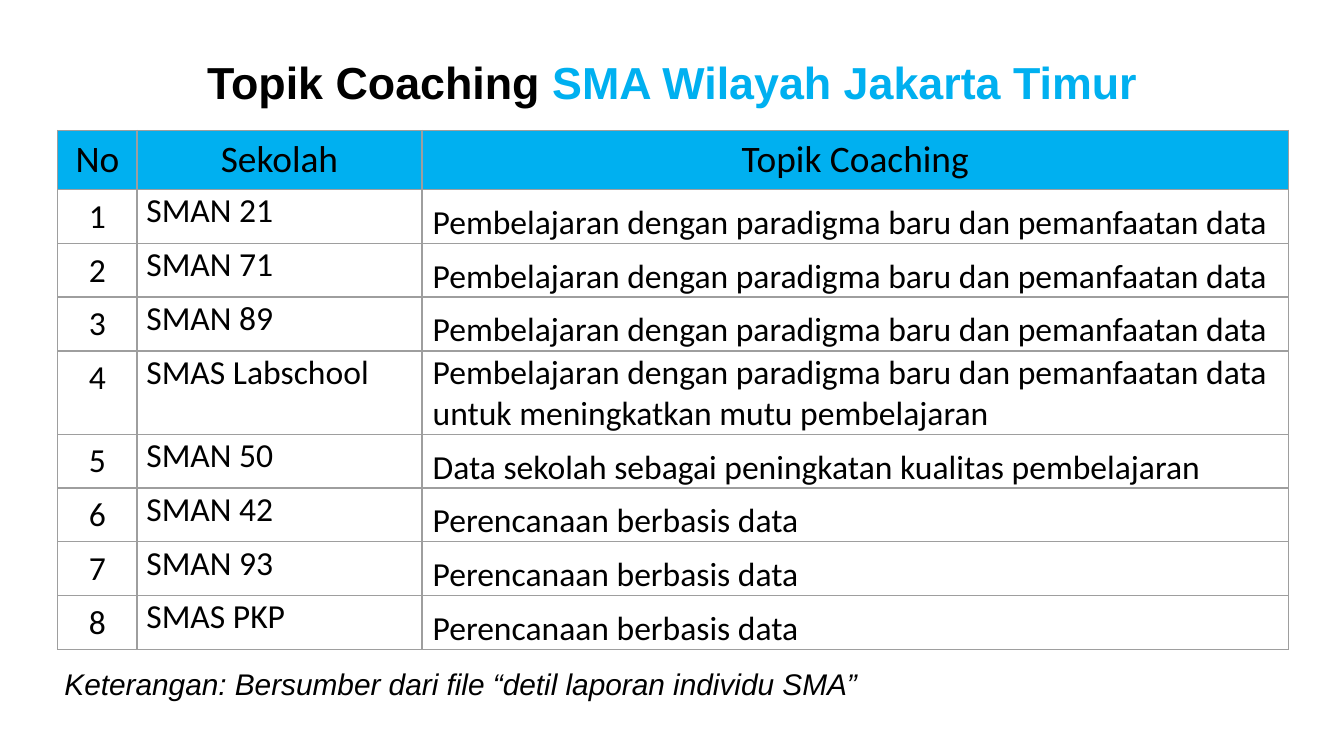
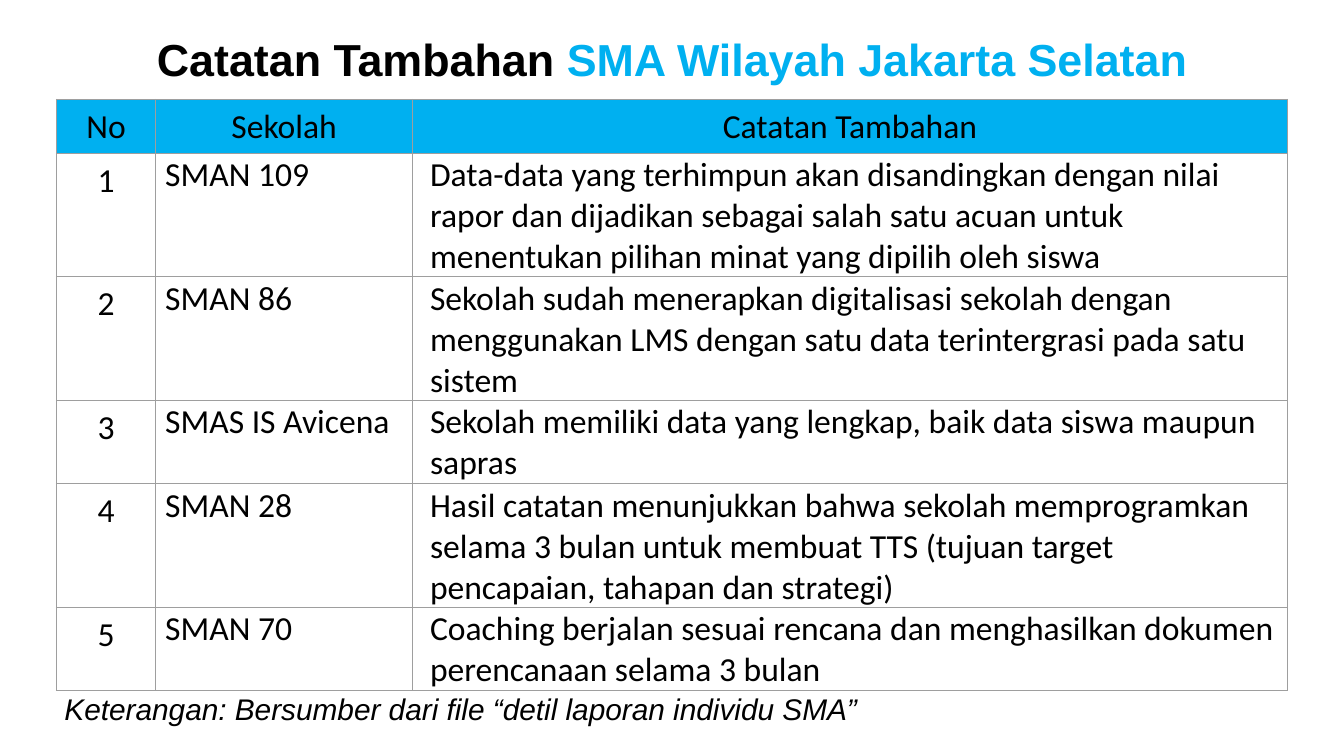
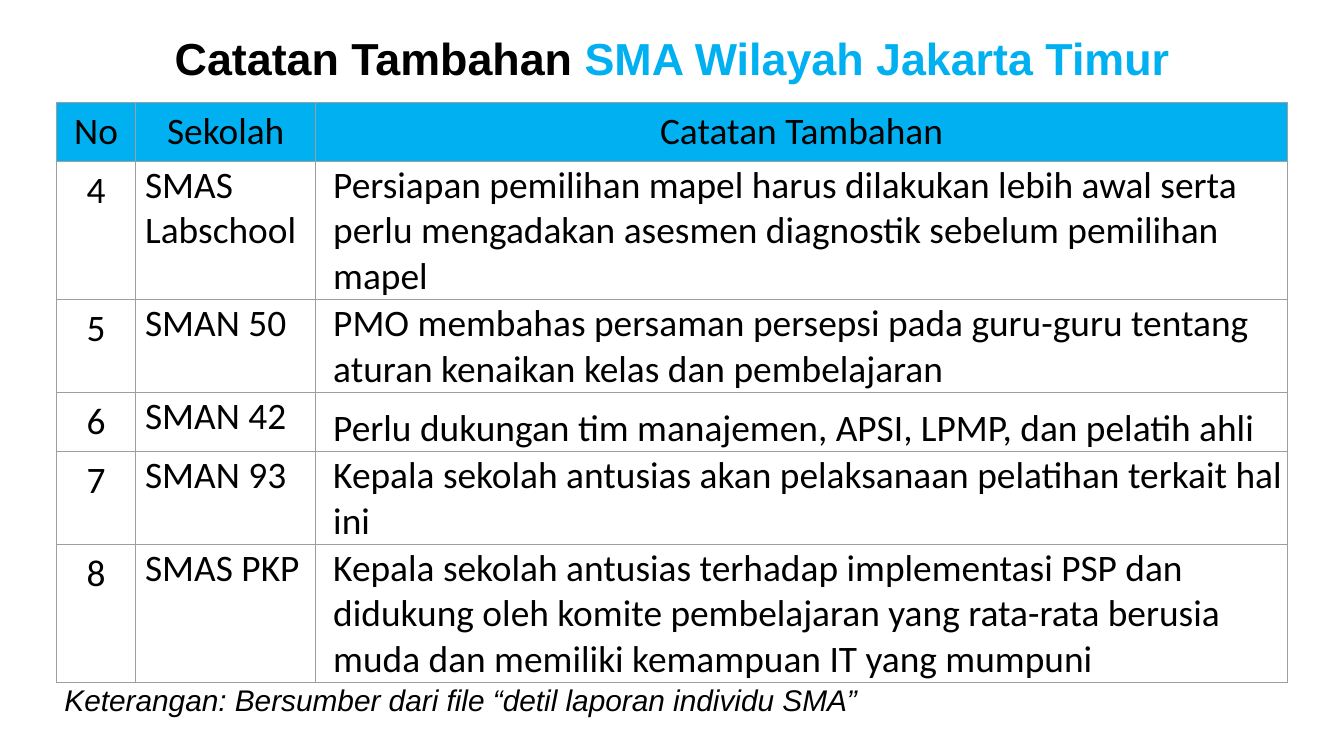
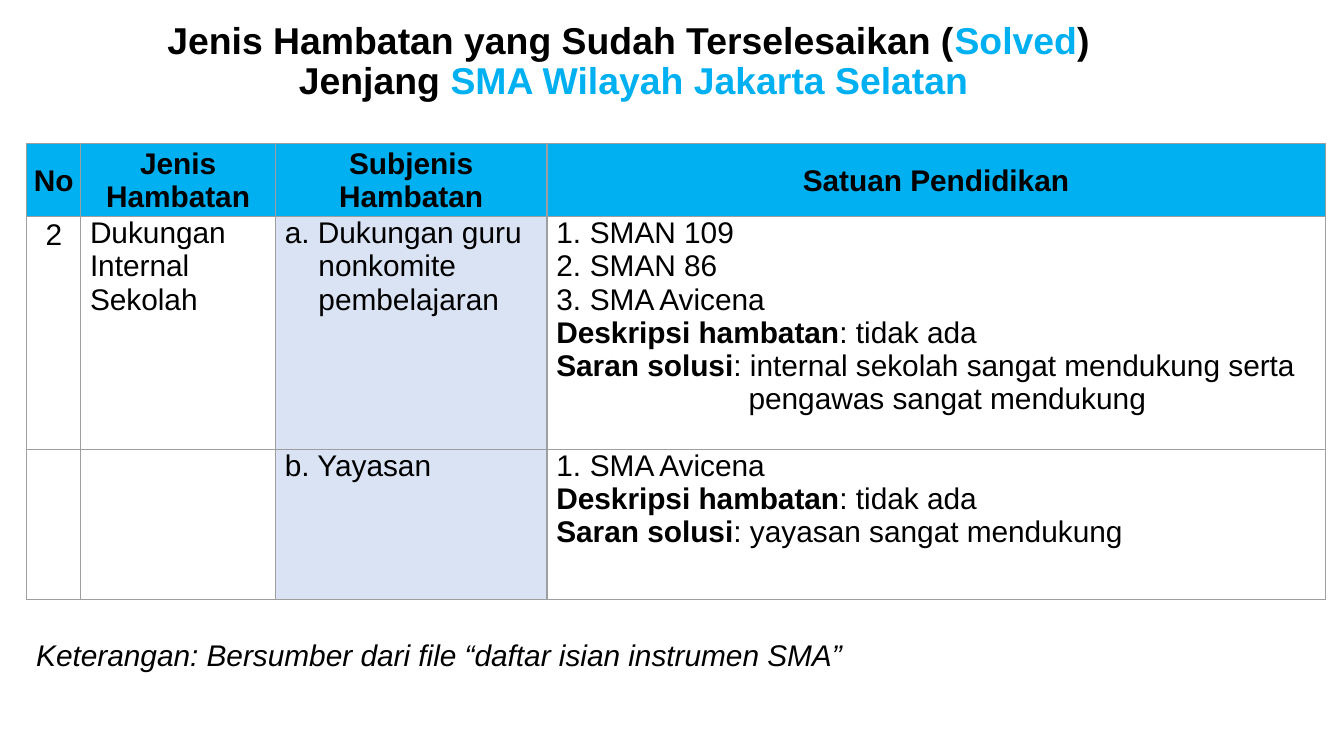
from dataclasses import dataclass

from lxml.etree import SubElement
from pptx import Presentation
from pptx.dml.color import RGBColor
from pptx.enum.text import MSO_ANCHOR, MSO_AUTO_SIZE, PP_ALIGN
from pptx.oxml.ns import qn
from pptx.util import Inches, Pt


@dataclass
class Theme:
    accent = RGBColor(0x00, 0xB0, 0xF0)
    shade = RGBColor(0xDA, 0xE3, 0xF3)
    text = RGBColor(0, 0, 0)
    border = "9E9E9E"
    border_width = 0.75
    title_font = "Arial"
    school_font = "Calibri"
    note_size = 16
    frame_margins = (0.07, 0.04, 0.07, 0.04)
    number_margins = (0.1, 0.05, 0.1, 0.05)
    line_spacing = 0.9


@dataclass
class Line:
    text: str
    hanging: float = 0
    numbered: bool = False


theme = Theme()


def write(paragraph, text, font, size, bold=False, italic=False, accent=None):
    """Add text; parts between asterisks are in the accent colour, or bold if there is none."""
    for index, piece in enumerate(text.split("*")):
        if not piece:
            continue
        marked = index % 2 == 1
        run = paragraph.add_run()
        run.text = piece
        run.font.name = font
        run.font.size = Pt(size)
        run.font.bold = bold or (marked and accent is None)
        run.font.italic = italic
        run.font.color.rgb = accent if marked and accent else theme.text


def set_margins(frame, margins):
    """Set left, top, right and bottom margins of a text frame or a cell."""
    (frame.margin_left, frame.margin_top,
     frame.margin_right, frame.margin_bottom) = map(Inches, margins)


# Content of the slides
school_note = "Keterangan: Bersumber dari file “detil laporan individu SMA”"
new_paradigm = "Pembelajaran dengan paradigma baru dan pemanfaatan data"
data_planning = "Perencanaan berbasis data"
school_margins = (0.07, 0.01, 0.01, 0)
topic_margins = (0.08, 0.01, 0.01, 0)
remark_margins = (0.13, 0.01, 0.01, 0)
obstacle_margins = (0.07, 0, 0.07, 0)

slides = [
    dict(
        title="Topik Coaching *SMA Wilayah Jakarta Timur*",
        title_box=(0, 0.4, 10, 0.46), title_size=24,
        note=school_note, note_box=(0.41, 4.88, 9.17, 0.44),
        table_at=(0.43, 0.97), widths=(0.59, 2.12, 6.45),
        heights=[0.44] + [0.4] * 3 + [0.62] + [0.4] * 4,
        font=theme.school_font, header_size=20, body_size=18, header_bold=False,
        header_margins=theme.number_margins,
        margins=(theme.number_margins, school_margins, topic_margins),
        last_anchor=MSO_ANCHOR.BOTTOM, shaded_column=None,
        rows=[
            ("No", "Sekolah", "Topik Coaching"),
            ("1", "SMAN 21", new_paradigm),
            ("2", "SMAN 71", new_paradigm),
            ("3", "SMAN 89", new_paradigm),
            ("4", "SMAS Labschool", new_paradigm + "\nuntuk meningkatkan mutu pembelajaran"),
            ("5", "SMAN 50", "Data sekolah sebagai peningkatan kualitas pembelajaran"),
            ("6", "SMAN 42", data_planning),
            ("7", "SMAN 93", data_planning),
            ("8", "SMAS PKP", data_planning),
        ],
    ),
    dict(
        title="Catatan Tambahan *SMA Wilayah Jakarta Selatan*",
        title_box=(0, 0.23, 10, 0.46), title_size=24,
        note=school_note, note_box=(0.41, 5.07, 9.17, 0.44),
        table_at=(0.42, 0.74), widths=(0.74, 1.91, 6.51),
        heights=(0.4, 0.92, 0.92, 0.62, 0.92, 0.62),
        font=theme.school_font, header_size=18, body_size=18, header_bold=False,
        header_margins=theme.number_margins,
        margins=(theme.number_margins, school_margins, remark_margins),
        last_anchor=MSO_ANCHOR.TOP, shaded_column=None,
        rows=[
            ("No", "Sekolah", "Catatan Tambahan"),
            ("1", "SMAN 109", "Data-data yang terhimpun akan disandingkan dengan nilai rapor dan "
             "dijadikan sebagai salah satu acuan untuk menentukan pilihan minat yang dipilih "
             "oleh siswa"),
            ("2", "SMAN 86", "Sekolah sudah menerapkan digitalisasi sekolah dengan menggunakan "
             "LMS dengan satu data terintergrasi pada satu sistem"),
            ("3", "SMAS IS Avicena",
             "Sekolah memiliki data yang lengkap, baik data siswa maupun sapras"),
            ("4", "SMAN 28", "Hasil catatan menunjukkan bahwa sekolah memprogramkan selama 3 "
             "bulan untuk membuat TTS (tujuan target pencapaian, tahapan dan strategi)"),
            ("5", "SMAN 70", "Coaching berjalan sesuai rencana dan menghasilkan dokumen "
             "perencanaan selama 3 bulan"),
        ],
    ),
    dict(
        title="Catatan Tambahan *SMA Wilayah Jakarta Timur*",
        title_box=(0, 0.22, 10, 0.46), title_size=24,
        note=school_note, note_box=(0.41, 5, 9.17, 0.44),
        table_at=(0.42, 0.76), widths=(0.59, 1.34, 7.23),
        heights=(0.44, 1.03, 0.69, 0.44, 0.69, 1.03),
        font=theme.school_font, header_size=20, body_size=20, header_bold=False,
        header_margins=theme.number_margins,
        margins=(theme.number_margins, school_margins, remark_margins),
        last_anchor=MSO_ANCHOR.BOTTOM, shaded_column=None,
        rows=[
            ("No", "Sekolah", "Catatan Tambahan"),
            ("4", "SMAS Labschool", "Persiapan pemilihan mapel harus dilakukan lebih awal serta "
             "perlu mengadakan asesmen diagnostik sebelum pemilihan mapel"),
            ("5", "SMAN 50", "PMO membahas persaman persepsi pada guru-guru tentang aturan "
             "kenaikan kelas dan pembelajaran"),
            ("6", "SMAN 42", "Perlu dukungan tim manajemen, APSI, LPMP, dan pelatih ahli"),
            ("7", "SMAN 93",
             "Kepala sekolah antusias akan pelaksanaan pelatihan terkait hal ini"),
            ("8", "SMAS PKP", "Kepala sekolah antusias terhadap implementasi PSP dan didukung "
             "oleh komite pembelajaran yang rata-rata berusia muda dan memiliki kemampuan IT "
             "yang mumpuni"),
        ],
    ),
    dict(
        title="Jenis Hambatan yang Sudah Terselesaikan (*Solved*) \n"
              "Jenjang *SMA Wilayah Jakarta Selatan*",
        title_box=(0.09, 0.01, 9.25, 0.91), title_size=20,
        note="Keterangan: Bersumber dari file “daftar isian instrumen SMA”",
        note_box=(0.2, 4.67, 9.17, 0.44),
        table_at=(0.2, 1.07), widths=(0.4, 1.45, 2.02, 5.79),
        heights=(0.47, 1.73, 1.12),
        font=theme.title_font, header_size=16, body_size=16, header_bold=True,
        header_margins=(0.01, 0.01, 0.01, 0),
        margins=((0, 0.01, 0, 0),) + (obstacle_margins,) * 3,
        last_anchor=MSO_ANCHOR.TOP, shaded_column=2,
        rows=[
            ("No", "Jenis Hambatan", "Subjenis Hambatan", "Satuan Pendidikan"),
            ("2", "Dukungan Internal Sekolah",
             [Line("a. Dukungan guru nonkomite pembelajaran", 0.25)],
             [Line("SMAN 109", 0.25, True),
              Line("SMAN 86", 0.25, True),
              Line("SMA Avicena", 0.25, True),
              Line("*Deskripsi hambatan*: tidak ada"),
              Line("*Saran solusi*: internal sekolah sangat mendukung serta pengawas sangat "
                   "mendukung", 1.43)]),
            ("", "", [Line("b. Yayasan", 0.19)],
             [Line("SMA Avicena", 0.25, True),
              Line("*Deskripsi hambatan*: tidak ada"),
              Line("*Saran solusi*: yayasan sangat mendukung")]),
        ],
    ),
]

presentation = Presentation()
presentation.slide_width = Inches(10)
presentation.slide_height = Inches(10 * 9 / 16)
title_only = presentation.slide_layouts[5]

for content in slides:
    slide = presentation.slides.add_slide(title_only)

    # Title
    title = slide.shapes.title
    title.left, title.top, title.width, title.height = map(Inches, content["title_box"])
    frame = title.text_frame
    frame.auto_size = MSO_AUTO_SIZE.NONE
    frame.vertical_anchor = MSO_ANCHOR.MIDDLE
    set_margins(frame, theme.frame_margins)
    for index, text in enumerate(content["title"].split("\n")):
        paragraph = frame.add_paragraph() if index else frame.paragraphs[0]
        paragraph.alignment = PP_ALIGN.CENTER
        paragraph.line_spacing = theme.line_spacing
        write(paragraph, text, theme.title_font, content["title_size"],
              bold=True, accent=theme.accent)

    # Source note
    note = slide.shapes.add_textbox(*map(Inches, content["note_box"]))
    frame = note.text_frame
    frame.word_wrap = True
    frame.vertical_anchor = MSO_ANCHOR.MIDDLE
    set_margins(frame, theme.frame_margins)
    frame.paragraphs[0].line_spacing = theme.line_spacing
    write(frame.paragraphs[0], content["note"], theme.title_font, theme.note_size, italic=True)

    # Table grid
    rows, widths, heights = content["rows"], content["widths"], content["heights"]
    left, top = content["table_at"]
    table = slide.shapes.add_table(
        len(rows), len(widths), Inches(left), Inches(top),
        Inches(sum(widths)), Inches(sum(heights))).table
    table.horz_banding = False
    table.first_row = False
    for column, width in zip(table.columns, widths):
        column.width = Inches(width)
    for row, height in zip(table.rows, heights):
        row.height = Inches(height)

    for row_index, row_content in enumerate(rows):
        for column_index, cell_content in enumerate(row_content):
            cell = table.cell(row_index, column_index)
            is_header = row_index == 0

            # Cell borders, fill and margins
            properties = cell._tc.get_or_add_tcPr()
            for side in ("a:lnL", "a:lnR", "a:lnT", "a:lnB"):
                border = SubElement(properties, qn(side), w=str(Pt(theme.border_width)))
                fill = SubElement(border, qn("a:solidFill"))
                SubElement(fill, qn("a:srgbClr"), val=theme.border)
            if is_header:
                cell.fill.solid()
                cell.fill.fore_color.rgb = theme.accent
                cell.vertical_anchor = MSO_ANCHOR.MIDDLE
            elif column_index == content["shaded_column"]:
                cell.fill.solid()
                cell.fill.fore_color.rgb = theme.shade
            else:
                cell.fill.background()
            if not is_header and column_index == len(widths) - 1:
                cell.vertical_anchor = content["last_anchor"]
            set_margins(cell, content["header_margins"] if is_header
                        else content["margins"][column_index])

            # Cell text
            lines = cell_content
            if isinstance(cell_content, str):
                lines = [Line(text) for text in cell_content.split("\n")]
            for index, line in enumerate(lines):
                frame = cell.text_frame
                paragraph = frame.add_paragraph() if index else frame.paragraphs[0]
                if line.hanging:
                    indent = Inches(line.hanging)
                    paragraph_properties = paragraph._p.get_or_add_pPr()
                    paragraph_properties.set("marL", str(indent))
                    paragraph_properties.set("indent", str(-indent))
                    if line.numbered:
                        SubElement(paragraph_properties, qn("a:buAutoNum"), type="arabicPeriod")
                if is_header or column_index == 0:
                    paragraph.alignment = PP_ALIGN.CENTER
                write(paragraph, line.text, content["font"],
                      content["header_size"] if is_header else content["body_size"],
                      bold=is_header and content["header_bold"])

presentation.save("out.pptx")
